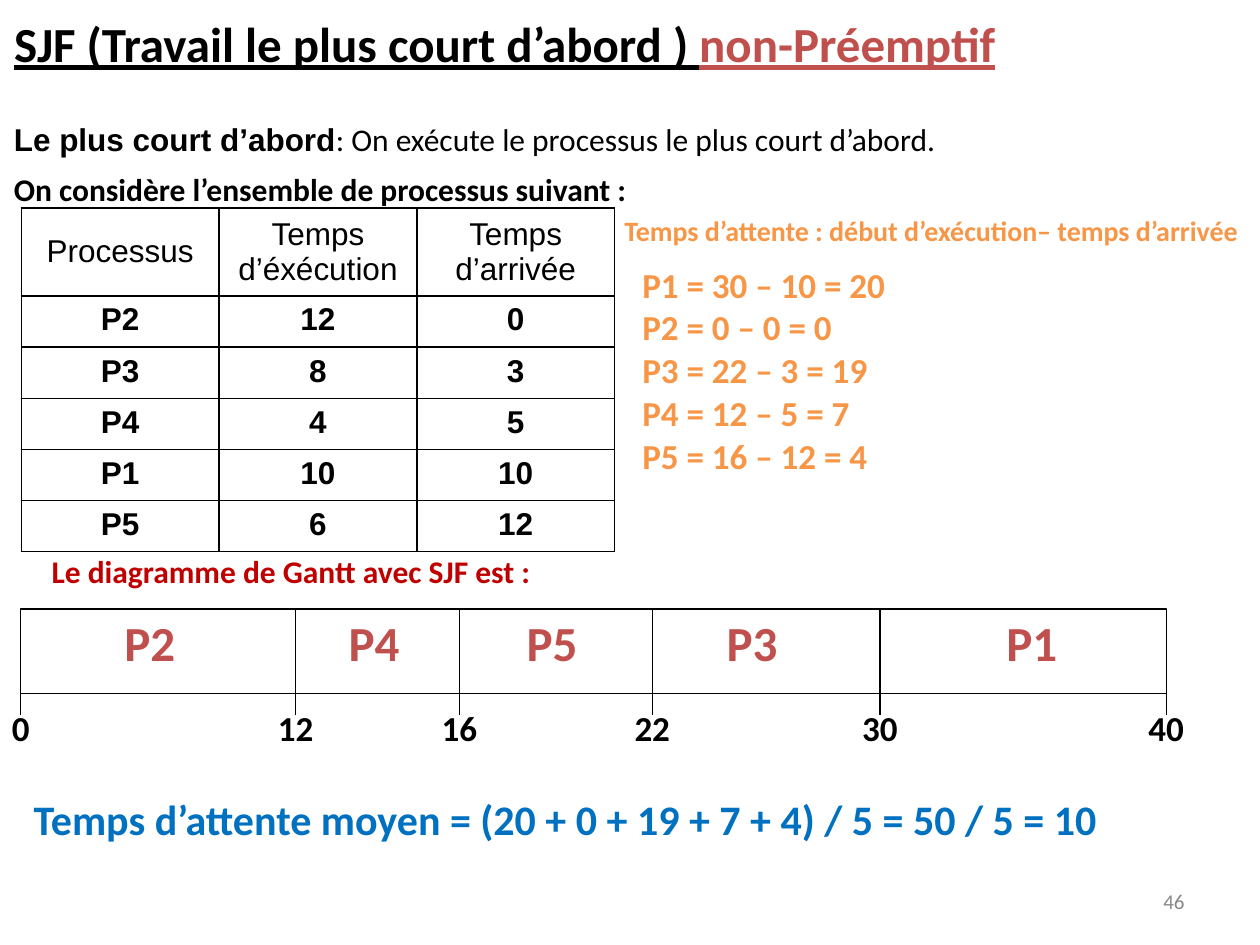
from lxml import etree
from pptx import Presentation
from pptx.dml.color import RGBColor
from pptx.enum.shapes import MSO_CONNECTOR, MSO_SHAPE
from pptx.enum.text import MSO_ANCHOR, MSO_AUTO_SIZE, PP_ALIGN
from pptx.oxml.ns import qn
from pptx.util import Cm, Pt

LEFT, CENTER, RIGHT = PP_ALIGN.LEFT, PP_ALIGN.CENTER, PP_ALIGN.RIGHT
TOP, MIDDLE = MSO_ANCHOR.TOP, MSO_ANCHOR.MIDDLE
RECTANGLE, STRAIGHT = MSO_SHAPE.RECTANGLE, MSO_CONNECTOR.STRAIGHT
NO_AUTOFIT = MSO_AUTO_SIZE.NONE

COLORS = {
    "black": "000000", "white": "FFFFFF", "red": "C0504D", "dark_red": "C00000",
    "orange": "F79646", "blue": "0070C0", "gray": "888888",
}
PROCESSES = [
    ("Processus", "Temps d’éxécution", "Temps d’arrivée"),
    ("P2", "12", "0"),
    ("P3", "8", "3"),
    ("P4", "4", "5"),
    ("P1", "10", "10"),
    ("P5", "6", "12"),
]
WAITING_TIMES = [
    "P1 = 30 – 10 = 20",
    "P2 = 0 – 0 = 0",
    "P3 = 22 – 3 = 19",
    "P4 = 12 – 5 = 7",
    "P5 = 16 – 12 = 4",
]
GANTT_TICKS = [("0", 0), ("12", 5.54), ("16", 8.84), ("22", 12.73), ("30", 17.32), ("40", 23.09)]
GANTT_LABELS = [("P2", 2.6), ("P4", 7.12), ("P5", 10.71), ("P3", 14.74), ("P1", 20.38)]


def rgb(color):
    """Return the named colour."""
    return RGBColor.from_string(COLORS[color])


def write_text(frame, text, align=LEFT, anchor=TOP, **run_format):
    """Write a string, or a list of (string, format changes), into a text frame."""
    frame.word_wrap = True
    frame.vertical_anchor = anchor
    paragraph = frame.paragraphs[0]
    paragraph.alignment = align
    for content, changes in [(text, {})] if isinstance(text, str) else text:
        style = {"size": 18, "font": "Calibri", "color": "black", "bold": True,
                 "underline": False, **run_format, **changes}
        run = paragraph.add_run()
        run.text = content
        run.font.size = Pt(style["size"])
        run.font.name = style["font"]
        run.font.bold = style["bold"]
        run.font.underline = style["underline"]
        run.font.color.rgb = rgb(style["color"])


def add_text(slide, box, text, **text_format):
    """Add a text box at a box given in centimetres."""
    frame = slide.shapes.add_textbox(*map(Cm, box)).text_frame
    write_text(frame, text, **text_format)


def add_title(slide, box):
    """Move the title placeholder into the box and fill it."""
    title = slide.shapes.title
    title.left, title.top, title.width, title.height = map(Cm, box)
    title.text_frame.auto_size = NO_AUTOFIT
    write_text(title.text_frame, [
        ("SJF (Travail le plus court d’abord ) ", {}),
        ("non-Préemptif", {"color": "red"}),
    ], size=28, underline=True)


def add_introduction(slide, box):
    """Add the rule of the algorithm and the line that leads to the table."""
    left, top, width, height = box
    add_text(slide, (left, top, width, height), [
        ("Le plus court d’abord", {"font": "Arial"}),
        (": On exécute le processus le plus court d’abord.", {"bold": False}),
    ])
    add_text(slide, (left, top + height, 13.08, height),
             "On considère l’ensemble de processus suivant :")


def outline_cell(cell):
    """Give a table cell thin black borders and no fill."""
    properties = cell._tc.get_or_add_tcPr()
    for side in ("a:lnL", "a:lnR", "a:lnT", "a:lnB"):
        border = etree.SubElement(properties, qn(side), w=str(Pt(1)))
        fill = etree.SubElement(border, qn("a:solidFill"))
        etree.SubElement(fill, qn("a:srgbClr"), val=COLORS["black"])
    cell.fill.background()


def add_process_table(slide, box):
    """Add the table of processes with a taller header row."""
    header_height, row_height = 1.68, 1.03
    table = slide.shapes.add_table(len(PROCESSES), len(PROCESSES[0]), *map(Cm, box)).table
    table.first_row = table.horz_banding = False
    for column in table.columns:
        column.width = Cm(box[2] / len(PROCESSES[0]))
    for row_index, values in enumerate(PROCESSES):
        is_header = row_index == 0
        table.rows[row_index].height = Cm(header_height if is_header else row_height)
        for column_index, value in enumerate(values):
            cell = table.cell(row_index, column_index)
            outline_cell(cell)
            write_text(cell.text_frame, value, align=CENTER, font="Arial", bold=not is_header)
            cell.vertical_anchor = MIDDLE if is_header else TOP


def add_waiting_times(slide, box):
    """Add the waiting time formula and one calculation per process."""
    left, top, width, height = box
    add_text(slide, (left, top, width, 0.94),
             "Temps d’attente : début d’exécution– temps d’arrivée", size=16, color="orange")
    first_top = top + 0.99
    pitch = (top + height - first_top) / len(WAITING_TIMES)
    for index, calculation in enumerate(WAITING_TIMES):
        add_text(slide, (left + 0.36, first_top + index * pitch, 6, 1.11), calculation,
                 size=20, color="orange")


def add_gantt(slide, box):
    """Add the Gantt bar with its ticks, times and process names."""
    left, top, width, height = box
    bar = slide.shapes.add_shape(RECTANGLE, *map(Cm, box))
    bar.shadow.inherit = False
    bar.fill.solid()
    bar.fill.fore_color.rgb = rgb("white")
    bar.line.color.rgb = rgb("black")
    bar.line.width = Pt(0.75)
    for time, offset in GANTT_TICKS:
        x = left + offset
        tick = slide.shapes.add_connector(STRAIGHT, Cm(x), Cm(top), Cm(x), Cm(top + 2.13))
        tick.line.color.rgb = rgb("black")
        tick.line.width = Pt(0.75)
        etree.SubElement(tick._element.spPr, qn("a:effectLst"))
        add_text(slide, (x - 0.62, top + 1.84, 1.24, 1.11), time, size=20, align=CENTER)
    for process, center in GANTT_LABELS:
        add_text(slide, (left + center - 0.78, top - 0.05, 1.56, 1.45), process,
                 size=28, color="red", align=CENTER)


def main():
    """Build the slide and save it."""
    presentation = Presentation()
    presentation.slide_width, presentation.slide_height = Cm(25.4), Cm(19.05)
    slide = presentation.slides.add_slide(presentation.slide_layouts[5])
    add_title(slide, (0.03, 0.15, 29.18, 4.09))
    add_introduction(slide, (0.03, 2.29, 25.32, 1.02))
    add_process_table(slide, (0.43, 4.19, 11.96, 6.83))
    add_waiting_times(slide, (12.34, 4.19, 13.06, 5.31))
    add_text(slide, (0.79, 11, 15.06, 1.02), "Le diagramme de Gantt avec SJF est :",
             color="dark_red")
    add_gantt(slide, (0.42, 12.28, 23.09, 1.7))
    add_text(slide, (0.43, 15.88, 23.06, 1.27),
             "Temps d’attente moyen = (20 + 0 + 19 + 7 + 4) / 5 = 50 / 5 = 10",
             size=24, color="blue")
    add_text(slide, (18.21, 17.65, 5.92, 1.02), "46", size=12, color="gray", bold=False,
             align=RIGHT, anchor=MIDDLE)
    presentation.save("out.pptx")


if __name__ == "__main__":
    main()
